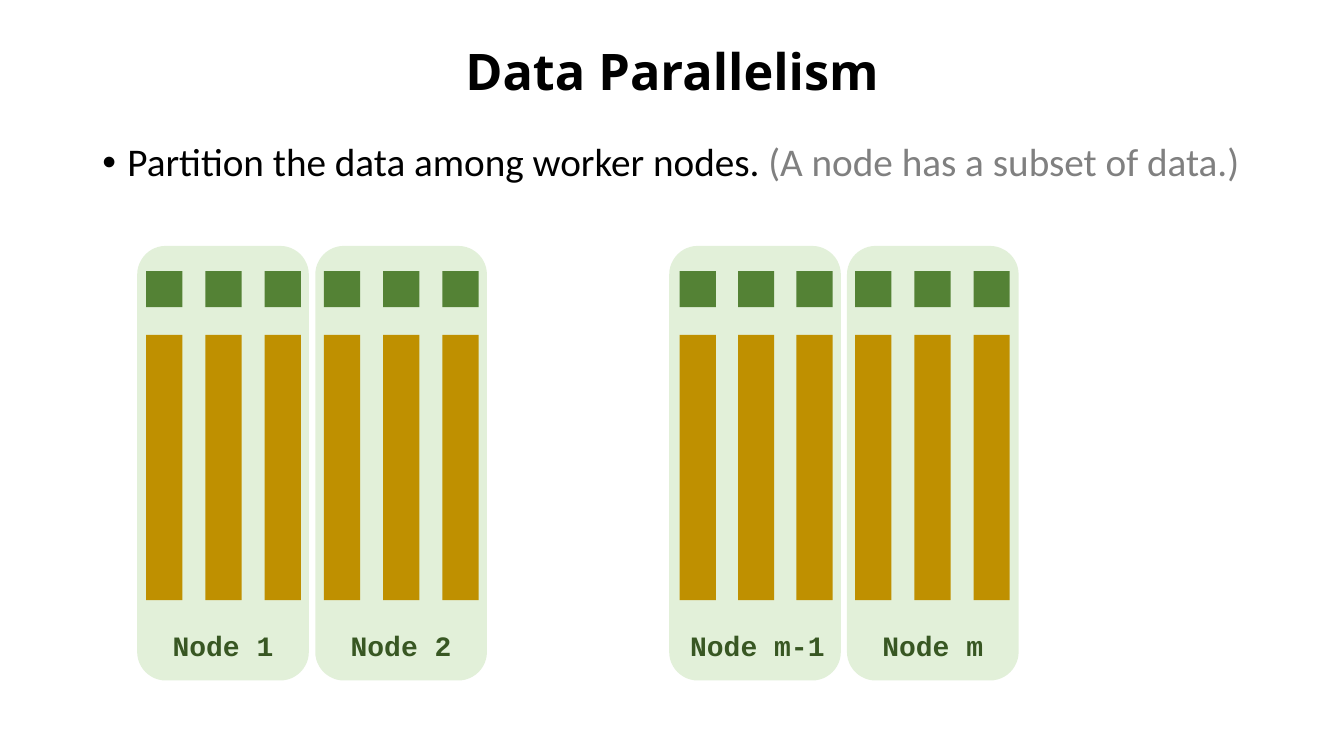
from dataclasses import dataclass

from lxml.etree import SubElement
from pptx import Presentation
from pptx.dml.color import RGBColor
from pptx.enum.shapes import MSO_SHAPE as Shape
from pptx.enum.text import MSO_ANCHOR as Anchor, MSO_AUTO_SIZE as Fit, PP_ALIGN as Align
from pptx.oxml.ns import qn
from pptx.slide import Slide
from pptx.text.text import TextFrame
from pptx.util import Pt

BLACK = RGBColor(0x00, 0x00, 0x00)
GREY = RGBColor(0x80, 0x80, 0x80)
PALE = RGBColor(0xE2, 0xF0, 0xD9)
GREEN = RGBColor(0x54, 0x82, 0x35)
DARK = RGBColor(0x38, 0x57, 0x23)
GOLD = RGBColor(0xBF, 0x90, 0x00)

NODE_TOP, NODE_W, NODE_H = 175.7, 122.6, 310.4
LABEL_TOP, LABEL_H = 445.7, 31.5
CHAR_W, INSETS = 12, 14.4
BAR_W = 25.9
BAR_COUNT = 3


@dataclass
class Node:
    label: str
    left: float
    first: float  # left edge of the first bar
    step: float = 42.3
    shift: float = 0  # label offset from the node's centre


@dataclass
class Row:
    top: float
    height: float
    fill: RGBColor


NODES = [
    Node("Node 1", 98, 104.4),
    Node("Node 2", 225.2, 231.4),
    Node("Node m-1", 478, 485.5, step=41.7, shift=1.7),
    Node("Node m", 605, 610.8),
]
ROWS = [Row(193.6, BAR_W, GREEN), Row(239.2, 189.5, GOLD)]


def add_block(slide: Slide, kind: Shape, left: float, top: float,
              width: float, height: float, fill: RGBColor) -> None:
    block = slide.shapes.add_shape(kind, Pt(left), Pt(top), Pt(width), Pt(height))
    block.shadow.inherit = False
    block.fill.solid()
    block.fill.fore_color.rgb = fill
    block.line.fill.background()


def add_text(slide: Slide, left: float, top: float, width: float, height: float,
             texts: list[tuple[str, RGBColor]], face: str, size: float,
             bold: bool = False) -> TextFrame:
    """Add a one-paragraph box whose runs differ only in colour."""
    box = slide.shapes.add_textbox(Pt(left), Pt(top), Pt(width), Pt(height))
    frame = box.text_frame
    frame.word_wrap = True
    for text, color in texts:
        run = frame.paragraphs[0].add_run()
        run.text = text
        font = run.font
        font.name, font.size, font.bold = face, Pt(size), bold
        font.color.rgb = color
    return frame


def add_title(slide: Slide) -> None:
    frame = add_text(slide, 66, 0.7, 828, 104.4, [("Data Parallelism", BLACK)],
                     "Noto Sans", 36, bold=True)
    frame.vertical_anchor = Anchor.MIDDLE
    frame.paragraphs[0].alignment = Align.CENTER
    frame.paragraphs[0].line_spacing = 0.9


def add_point(slide: Slide) -> None:
    texts = [("Partition the data among worker nodes. ", BLACK),
             ("(A node has a subset of data.)", GREY)]
    frame = add_text(slide, 66, 98.6, 828, 57.6, texts, "Calibri", 28)
    para = frame.paragraphs[0]
    para.line_spacing = 0.9
    props = para._p.get_or_add_pPr()
    props.set("marL", str(Pt(18)))
    props.set("indent", str(Pt(-18)))
    SubElement(props, qn("a:buFont"), typeface="Arial")
    SubElement(props, qn("a:buChar"), char="•")


def add_node(slide: Slide, node: Node) -> None:
    add_block(slide, Shape.ROUNDED_RECTANGLE, node.left, NODE_TOP, NODE_W, NODE_H, PALE)
    width = len(node.label) * CHAR_W + INSETS
    left = node.left + (NODE_W - width) / 2 + node.shift
    frame = add_text(slide, left, LABEL_TOP, width, LABEL_H, [(node.label, DARK)],
                     "Courier New", 20, bold=True)
    frame.word_wrap = False
    frame.auto_size = Fit.SHAPE_TO_FIT_TEXT
    frame.paragraphs[0].alignment = Align.CENTER
    for col in range(BAR_COUNT):
        for row in ROWS:
            add_block(slide, Shape.RECTANGLE, node.first + col * node.step, row.top,
                      BAR_W, row.height, row.fill)


def main() -> None:
    deck = Presentation()
    deck.slide_width, deck.slide_height = Pt(960), Pt(540)
    slide = deck.slides.add_slide(deck.slide_layouts[6])
    add_title(slide)
    add_point(slide)
    for node in NODES:
        add_node(slide, node)
    deck.save("out.pptx")


if __name__ == "__main__":
    main()
